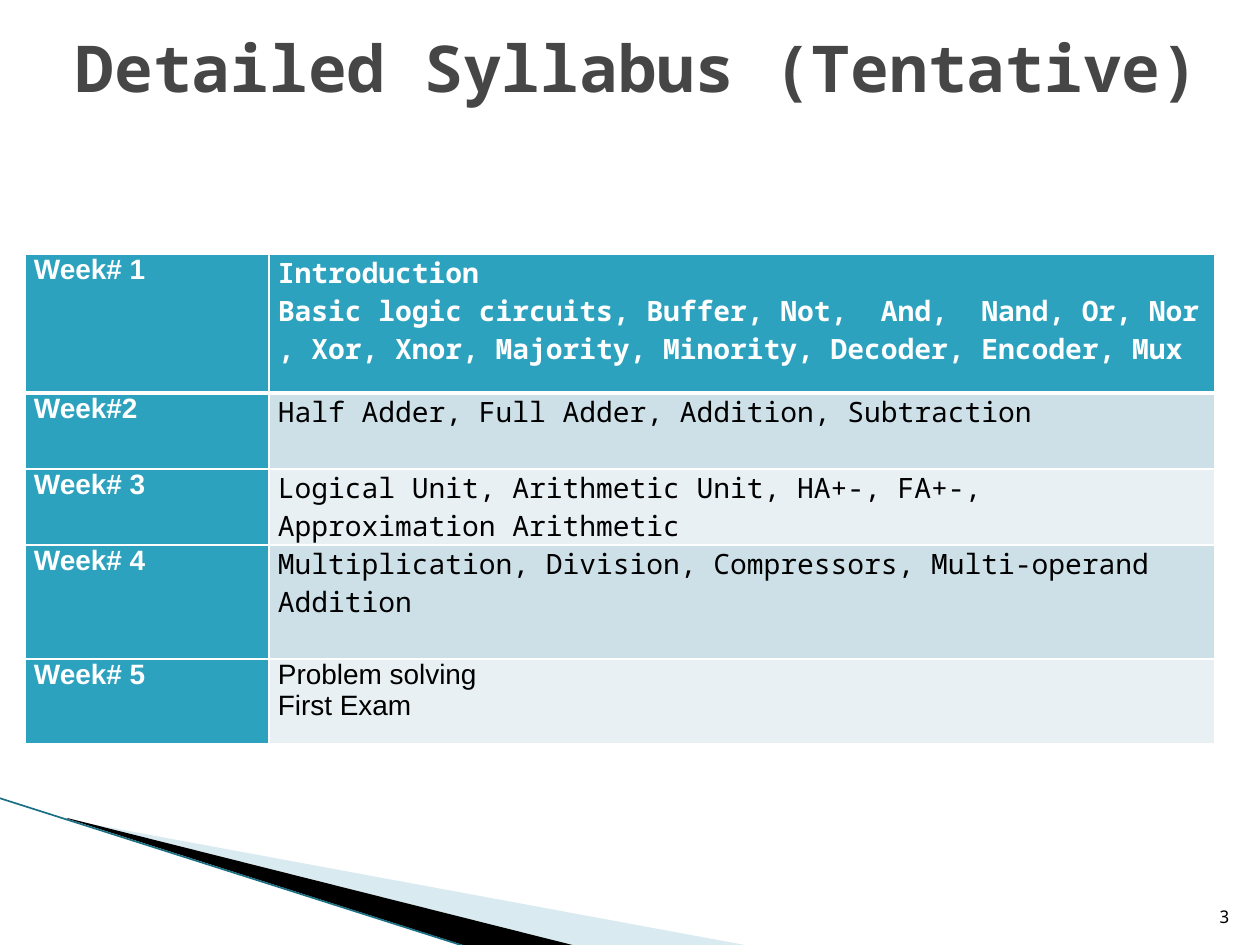
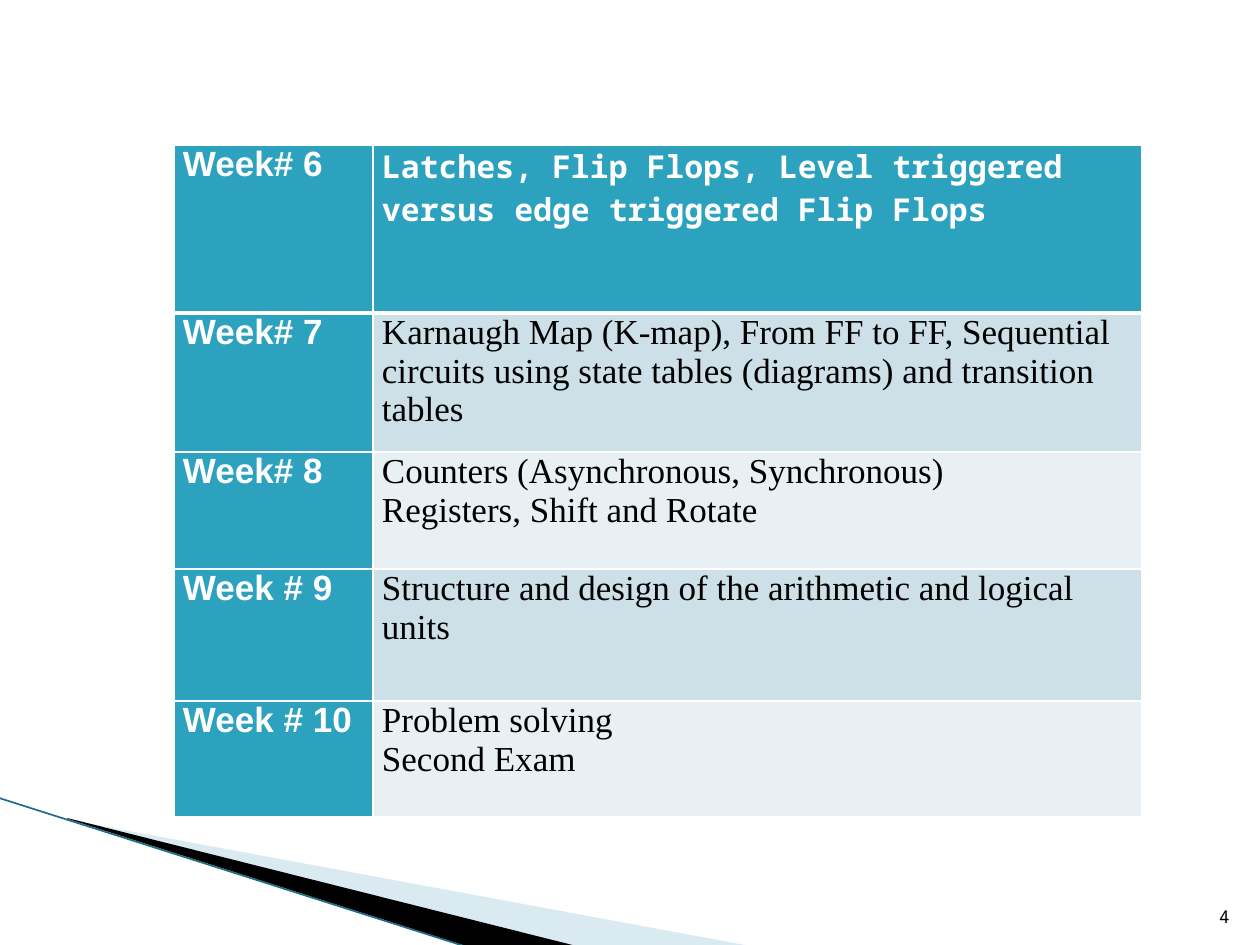
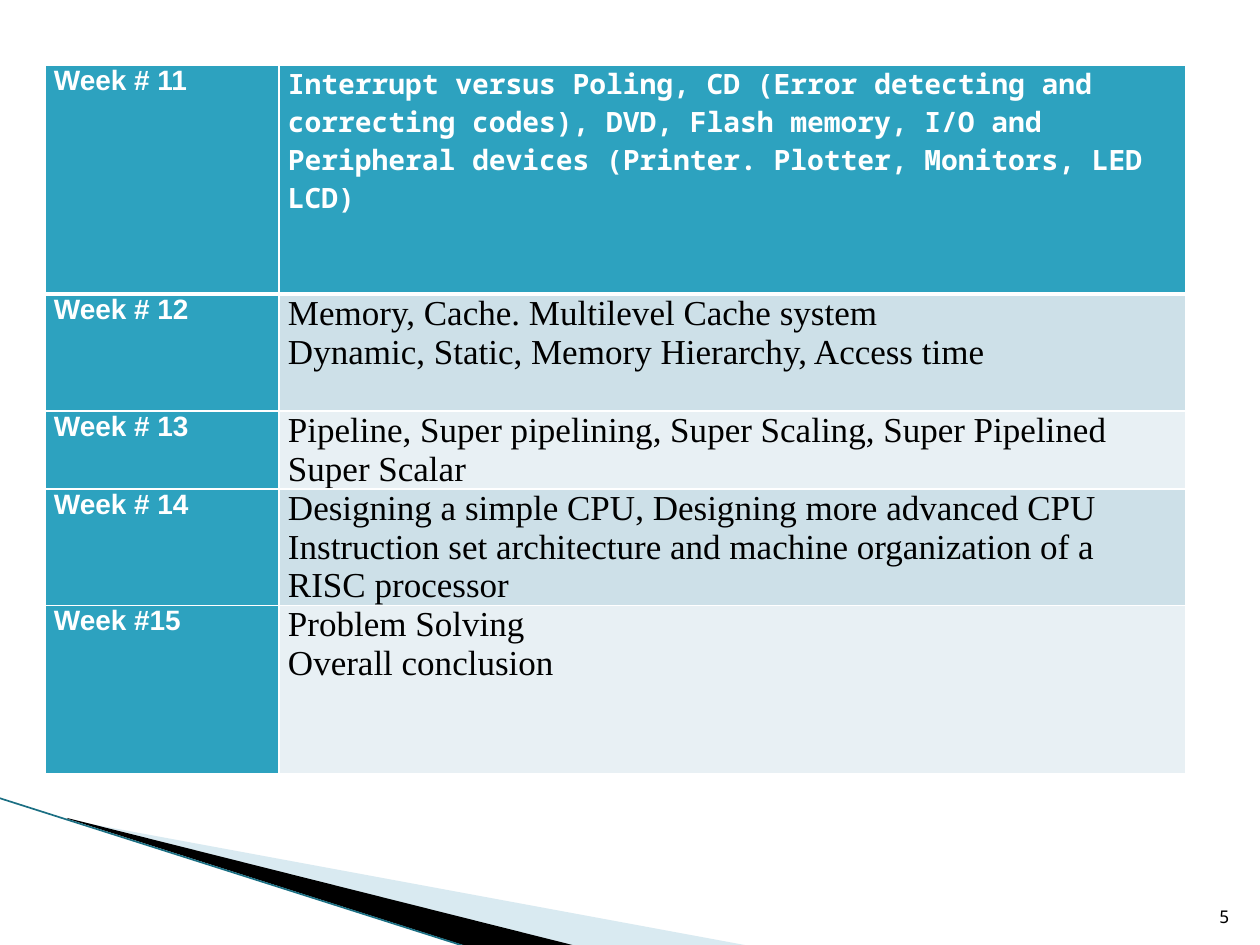
"""Build three syllabus slides, each with a weekly topic table above a shared corner band."""

from lxml.etree import SubElement
from pptx import Presentation
from pptx.dml.color import RGBColor
from pptx.enum.shapes import MSO_CONNECTOR
from pptx.enum.text import MSO_ANCHOR, MSO_AUTO_SIZE, PP_ALIGN
from pptx.oxml import parse_xml
from pptx.oxml.ns import nsdecls, qn
from pptx.util import Emu, Pt

EMU_PER_PX = 914400 / 126
WHITE = RGBColor(0xFF, 0xFF, 0xFF)
BLACK = RGBColor(0x00, 0x00, 0x00)
TITLE_GRAY = RGBColor(0x46, 0x46, 0x46)
TEAL = RGBColor(0x2D, 0xA2, 0xBF)
DARK_TEAL = RGBColor(0x1B, 0x6F, 0x83)
BAND_BLUE = RGBColor(0xA0, 0xCB, 0xDC)
ROW_COLORS = [RGBColor(0xE8, 0xF0, 0xF4), RGBColor(0xCD, 0xE0, 0xE8)]
MONO = "Noto Sans Mono"
SANS = "Arial"
SERIF = "Times New Roman"
FIRST_NUMBER = 3

SYLLABUS = [
    {
        "title": "Detailed Syllabus (Tentative)",
        "corner": (25, 254),
        "widths": (244, 946),
        "label_size": 16,
        "rows": [
            (139, "Week# 1", "Introduction\nBasic logic circuits, Buffer, Not,  And,  Nand, Or, Nor "
             ", Xor, Xnor, Majority, Minority, Decoder, Encoder, Mux", MONO, 16),
            (76, "Week#2", "Half Adder, Full Adder, Addition, Subtraction", MONO, 16),
            (76, "Week# 3", "Logical Unit, Arithmetic Unit, HA+-, FA+-, "
             "Approximation Arithmetic", MONO, 16),
            (114, "Week# 4", "Multiplication, Division, Compressors, Multi-operand Addition", MONO, 16),
            (85, "Week# 5", "Problem solving\nFirst Exam", SANS, 16),
        ],
    },
    {
        "title": None,
        "corner": (174, 145),
        "widths": (199, 769),
        "label_size": 20,
        "rows": [
            (168, "Week# 6", "Latches, Flip Flops, Level triggered versus edge triggered Flip Flops",
             MONO, 18),
            (139, "Week# 7", "Karnaugh Map (K-map), From FF to FF, Sequential circuits using "
             "state tables (diagrams) and transition tables", SERIF, 20),
            (117, "Week# 8", "Counters (Asynchronous, Synchronous)\nRegisters, Shift and Rotate",
             SERIF, 20),
            (132, "Week # 9", "Structure and design of the arithmetic and logical units", SERIF, 20),
            (116, "Week # 10", "Problem solving\nSecond Exam", SERIF, 20),
        ],
    },
    {
        "title": None,
        "corner": (45, 65),
        "widths": (234, 907),
        "label_size": 16,
        "rows": [
            (229, "Week # 11", "Interrupt versus Poling, CD (Error detecting and correcting codes), "
             "DVD, Flash memory, I/O and Peripheral devices (Printer. Plotter, Monitors, LED LCD)",
             MONO, 16),
            (117, "Week # 12", "Memory, Cache. Multilevel Cache system\n"
             "Dynamic, Static, Memory Hierarchy, Access time", SERIF, 20),
            (78, "Week # 13", "Pipeline, Super pipelining, Super Scaling, Super Pipelined "
             "Super Scalar", SERIF, 20),
            (116, "Week # 14", "Designing a simple CPU, Designing more advanced CPU\n"
             "Instruction set architecture and machine organization of a RISC processor", SERIF, 20),
            (168, "Week #15", "Problem Solving\nOverall conclusion", SERIF, 20),
        ],
    },
]


def px(*lengths):
    """Turn pixel lengths into a list of EMU lengths."""
    return [Emu(round(length * EMU_PER_PX)) for length in lengths]


def write_text(text_frame, text, font, size, color, bold=False):
    """Set the text and give every run the same format."""
    text_frame.text = text
    for paragraph in text_frame.paragraphs:
        for run in paragraph.runs:
            run.font.name = font
            run.font.size = Pt(size)
            run.font.bold = bold
            run.font.color.rgb = color


presentation = Presentation()
presentation.slide_width, presentation.slide_height = px(1260, 945)
title_layout = presentation.slide_layouts[5]
blank_layout = presentation.slide_layouts[6]
slides = [
    presentation.slides.add_slide(title_layout if week_block["title"] else blank_layout)
    for week_block in SYLLABUS
]

band_shapes = []
for color, points in [
    (BAND_BLUE, [(69, 820), (750, 946), (575, 946), (69, 819)]),
    (BLACK, [(67, 818), (576, 946), (469, 947), (68, 819)]),
]:
    builder = slides[0].shapes.build_freeform(*points[0], scale=EMU_PER_PX)
    builder.add_line_segments(points[1:], close=True)
    wedge = builder.convert_to_shape()
    wedge.shadow.inherit = False
    wedge.fill.solid()
    wedge.fill.fore_color.rgb = color
    wedge.line.fill.background()
    band_shapes.append(wedge)
blue_fill = band_shapes[0]._element.spPr.find(qn("a:solidFill"))
SubElement(blue_fill[0], qn("a:alpha")).set("val", "40000")

edge = slides[0].shapes.add_connector(MSO_CONNECTOR.STRAIGHT, *px(-1, 798, 467, 947))
edge.line.color.rgb = DARK_TEAL
edge.line.width = Pt(0.95)
SubElement(edge._element.spPr, qn("a:effectLst"))
band_shapes.append(edge)

master_tree = presentation.slide_master.shapes._spTree
for shape_id, shape in enumerate(band_shapes, start=101):
    shape._element.xpath(".//p:cNvPr")[0].set("id", str(shape_id))
    master_tree.append(shape._element)

for number, (slide, week_block) in enumerate(zip(slides, SYLLABUS), start=FIRST_NUMBER):
    if week_block["title"]:
        title = slide.shapes.title
        title.left, title.top, title.width, title.height = px(63, 38, 1153, 58)
        title.text_frame.auto_size = MSO_AUTO_SIZE.NONE
        title.text_frame.vertical_anchor = MSO_ANCHOR.MIDDLE
        write_text(title.text_frame, week_block["title"], MONO, 36.9, TITLE_GRAY, True)
        title.text_frame.paragraphs[0].alignment = PP_ALIGN.LEFT

    rows = week_block["rows"]
    widths = week_block["widths"]
    table_height = sum(row[0] for row in rows)
    frame = px(*week_block["corner"], sum(widths), table_height)
    table = slide.shapes.add_table(len(rows), 2, *frame).table
    table.first_col = True
    for column, width in zip(table.columns, px(*widths)):
        column.width = width

    for row_index, (height, label, topics, font, size) in enumerate(rows):
        table.rows[row_index].height = px(height)[0]
        is_header = row_index == 0
        topic_fill = TEAL if is_header else ROW_COLORS[row_index % 2]
        topic_color = WHITE if is_header else BLACK
        label_cell, topic_cell = table.rows[row_index].cells
        write_text(label_cell.text_frame, label, SANS, week_block["label_size"], WHITE, True)
        write_text(topic_cell.text_frame, topics, font, size, topic_color, is_header)
        for cell, fill_color in [(label_cell, TEAL), (topic_cell, topic_fill)]:
            cell.margin_left, cell.margin_right, cell.margin_top, cell.margin_bottom = px(9, 9, 0, 0)
            cell.fill.solid()
            cell.fill.fore_color.rgb = fill_color
            for position, side in enumerate("LRTB"):
                thick = (row_index, side) in [(0, "B"), (1, "T")]
                border = parse_xml(
                    f'<a:ln{side} {nsdecls("a")} w="{Pt(3 if thick else 1)}">'
                    f'<a:solidFill><a:srgbClr val="{WHITE}"/></a:solidFill></a:ln{side}>'
                )
                cell._tc.get_or_add_tcPr().insert(position, border)

    number_box = slide.shapes.add_textbox(*px(1192, 883, 50, 50))
    number_box.text_frame.word_wrap = True
    number_box.text_frame.vertical_anchor = MSO_ANCHOR.BOTTOM
    write_text(number_box.text_frame, str(number), MONO, 10, BLACK)
    number_box.text_frame.paragraphs[0].alignment = PP_ALIGN.RIGHT

presentation.save("out.pptx")
